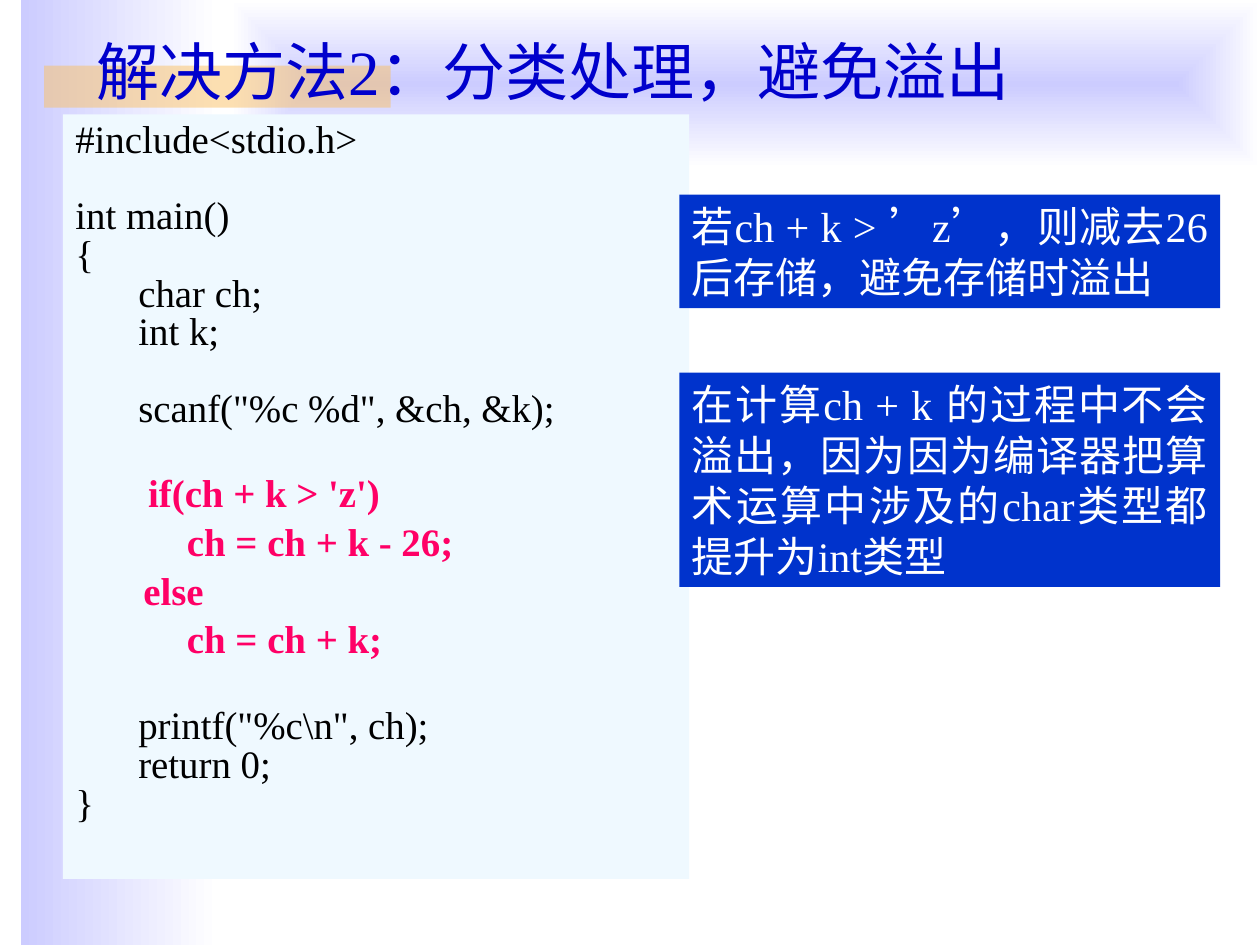
from dataclasses import dataclass

from lxml import etree
from pptx import Presentation
from pptx import util as u
from pptx.dml.color import RGBColor
from pptx.enum import shapes, text
from pptx.oxml import ns

# The slide is a grid of 120 columns by 90 rows
SLIDE_WIDTH, SLIDE_HEIGHT = u.Inches(10), u.Inches(7.5)
COLUMN, ROW = SLIDE_WIDTH / 120, SLIDE_HEIGHT / 90

FONT = "Times New Roman"
WHITE = RGBColor(0xFF, 0xFF, 0xFF)
BLACK = RGBColor(0x00, 0x00, 0x00)
LAVENDER = RGBColor(0xCC, 0xCC, 0xFF)
ORANGE = RGBColor(0xFA, 0xC1, 0x64)
PALE_BLUE = RGBColor(0xEF, 0xF9, 0xFF)
TITLE_BLUE = RGBColor(0x00, 0x00, 0xCC)
NOTE_BLUE = RGBColor(0x00, 0x33, 0xCC)
PINK = RGBColor(0xFF, 0x00, 0x66)

CODE_SIZE = 22.2
TIGHT, LOOSE = 21.3, 26.7  # pitch of code lines, in points
TIGHT_GAP, LOOSE_GAP = 0.9, 1.2  # part of the pitch above each line


@dataclass(frozen=True)
class Area:
    column: float
    row: float
    columns: float
    rows: float

    def emu(self) -> tuple[int, int, int, int]:
        return (round(self.column * COLUMN), round(self.row * ROW),
                round(self.columns * COLUMN), round(self.rows * ROW))


@dataclass(frozen=True)
class CodeLine:
    words: str
    indent: float = 0  # columns
    gap: float = 0  # extra points above
    key: bool = False


@dataclass(frozen=True)
class Note:
    area: Area
    words: str


CODE = [
    CodeLine("#include<stdio.h>"),
    CodeLine("int main()", gap=TIGHT),
    CodeLine("{"),
    CodeLine("char ch;", 6),
    CodeLine("int k;", 6),
    CodeLine('scanf("%c %d", &ch, &k);', 6, TIGHT),
    CodeLine("if(ch + k > 'z')", 6.93, TIGHT, True),
    CodeLine("ch = ch + k - 26;", 10.63, key=True),
    CodeLine("else", 6.48, key=True),
    CodeLine("ch = ch + k;", 10.63, key=True),
    CodeLine('printf("%c\\n", ch);', 6, LOOSE),
    CodeLine("return 0;", 6),
    CodeLine("}"),
]
NOTES = [
    Note(Area(64.7, 18.55, 51.5, 10.8),
         "若ch + k > ’z’，则减去26后存储，避免存储时溢出"),
    Note(Area(64.7, 35.5, 51.5, 20.4),
         "在计算ch + k 的过程中不会溢出，因为因为编译器把算术运算中涉及的char类型都提升为int类型"),
]


def add_panel(page, area: Area, color: RGBColor):
    box = page.shapes.add_shape(shapes.MSO_SHAPE.RECTANGLE, *area.emu())
    box.shadow.inherit = False
    box.line.fill.background()
    box.fill.solid()
    box.fill.fore_color.rgb = color
    return box


def fade_to_white(box, color: RGBColor, from_center: bool = False) -> None:
    box.fill.gradient()
    box.fill.gradient_angle = 0
    for stop, shade, place in zip(box.fill.gradient_stops, (color, WHITE), (0, 1)):
        stop.color.rgb = shade
        stop.position = place
    if from_center:
        linear = box._element.spPr.find(".//" + ns.qn("a:lin"))
        route = etree.Element(ns.qn("a:path"), {"path": "rect"})
        etree.SubElement(route, ns.qn("a:fillToRect"),
                         {side: "50000" for side in "ltrb"})
        linear.getparent().replace(linear, route)


def set_opacity(box, percent: int) -> None:
    color = box._element.spPr.find(".//" + ns.qn("a:srgbClr"))
    etree.SubElement(color, ns.qn("a:alpha"), {"val": str(percent * 1000)})


def prepare_text(box, anchor=text.MSO_ANCHOR.TOP):
    frame = box.text_frame
    frame.word_wrap = True
    frame.vertical_anchor = anchor
    return frame


def add_span(para, words: str, size: float, color: RGBColor, bold: bool = False) -> None:
    span = para.add_run()
    span.text = words
    span.font.name = FONT
    span.font.size = u.Pt(size)
    span.font.bold = bold
    span.font.color.rgb = color


def add_code(page, area: Area, lines: list[CodeLine]) -> None:
    frame = prepare_text(add_panel(page, area, PALE_BLUE))
    frame.margin_top = u.Inches(0.07)
    for index, line in enumerate(lines):
        para = frame.add_paragraph() if index else frame.paragraphs[0]
        para.alignment = text.PP_ALIGN.LEFT
        para.line_spacing = 1.0 if line.key else 0.8
        if index:
            base = LOOSE_GAP if line.key else TIGHT_GAP
            para.space_before = u.Pt(base + line.gap)
        para._p.get_or_add_pPr().set("marL", str(round(line.indent * COLUMN)))
        add_span(para, line.words, CODE_SIZE, PINK if line.key else BLACK, line.key)


def add_note(page, note: Note) -> None:
    frame = prepare_text(add_panel(page, note.area, NOTE_BLUE))
    para = frame.paragraphs[0]
    para.alignment = text.PP_ALIGN.JUSTIFY
    add_span(para, note.words, 24, WHITE)


def add_title(page, area: Area, words: str) -> None:
    box = page.shapes.add_textbox(*area.emu())
    frame = prepare_text(box, text.MSO_ANCHOR.BOTTOM)
    add_span(frame.paragraphs[0], words, 36, TITLE_BLUE)


def main() -> None:
    deck = Presentation()
    deck.slide_width, deck.slide_height = SLIDE_WIDTH, SLIDE_HEIGHT
    page = deck.slides.add_slide(deck.slide_layouts[6])

    # Background bands and title accent
    fade_to_white(add_panel(page, Area(2, 0, 19, 90), LAVENDER), LAVENDER)
    fade_to_white(add_panel(page, Area(22, 0, 98, 16), LAVENDER), LAVENDER, True)
    set_opacity(add_panel(page, Area(4.2, 6.25, 33, 4), ORANGE), 50)

    # Code, title and explanations
    add_code(page, Area(6, 10.9, 59.65, 72.8), CODE)
    add_title(page, Area(8, 0.6, 112, 10.3), "解决方法2：分类处理，避免溢出")
    for note in NOTES:
        add_note(page, note)

    deck.save("out.pptx")


if __name__ == "__main__":
    main()
